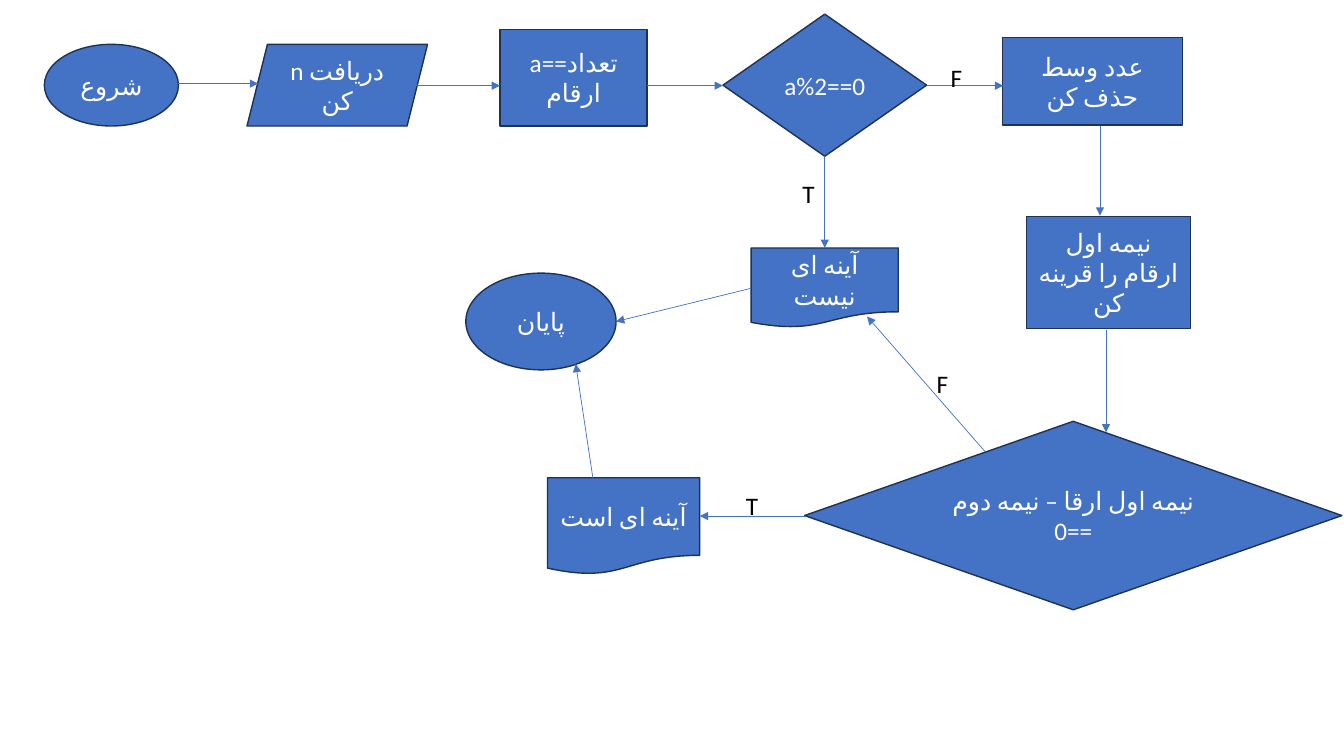
from lxml import etree
from pptx import Presentation
from pptx.dml.color import RGBColor
from pptx.enum.lang import MSO_LANGUAGE_ID
from pptx.enum.shapes import MSO_CONNECTOR, MSO_SHAPE
from pptx.enum.text import MSO_ANCHOR, MSO_AUTO_SIZE, PP_ALIGN
from pptx.oxml.ns import qn
from pptx.util import Emu, Pt

EMU_PER_PX = 9144
SLIDE_WIDTH, SLIDE_HEIGHT = 1333, 750
BLANK_LAYOUT = 6

BLUE = RGBColor(0x44, 0x72, 0xC4)
NAVY = RGBColor(0x1E, 0x32, 0x56)
WHITE = RGBColor(0xFF, 0xFF, 0xFF)
BLACK = RGBColor(0x00, 0x00, 0x00)

TERMINAL = MSO_SHAPE.OVAL
INPUT = MSO_SHAPE.PARALLELOGRAM
PROCESS = MSO_SHAPE.RECTANGLE
DECISION = MSO_SHAPE.DIAMOND
OUTPUT = MSO_SHAPE.FLOWCHART_DOCUMENT
STRAIGHT = MSO_CONNECTOR.STRAIGHT
CENTER, LEFT = PP_ALIGN.CENTER, PP_ALIGN.LEFT
MIDDLE, TOP = MSO_ANCHOR.MIDDLE, MSO_ANCHOR.TOP
GROW = MSO_AUTO_SIZE.SHAPE_TO_FIT_TEXT
PERSIAN = MSO_LANGUAGE_ID.FARSI
ENGLISH = MSO_LANGUAGE_ID.ENGLISH_US

STEPS = [
    (TERMINAL, (44, 44, 133, 81), "شروع"),
    (INPUT, (245, 44, 179, 81), "n دریافت کن"),
    (PROCESS, (496, 29, 146, 96), "a==تعداد ارقام"),
    (DECISION, (717, 14, 202, 141), "a%2==0"),
    (PROCESS, (994, 37, 179, 87), "عدد وسط حذف کن"),
    (PROCESS, (1018, 215, 163, 111), "نیمه اول ارقام را قرینه کن"),
    (DECISION, (798, 418, 533, 187), "نیمه اول ارقا – نیمه دوم ==0"),
    (OUTPUT, (745, 246, 146, 79), "آینه ای نیست"),
    (OUTPUT, (543, 474, 151, 96), "آینه ای است"),
    (TERMINAL, (462, 271, 149, 96), "پایان"),
]

ARROWS = [
    ((177, 83), (256, 83)),
    ((413, 85), (496, 85)),
    ((642, 85), (717, 85)),
    ((919, 85), (995, 85)),
    ((818, 155), (818, 246)),
    ((1091, 125), (1091, 214)),
    ((1097, 327), (1097, 429)),
    ((798, 512), (694, 512)),
    ((977, 448), (860, 314)),
    ((588, 474), (571, 361)),
    ((745, 286), (611, 319)),
]

BRANCH_LABELS = [
    ("T", (786, 172)),
    ("F", (933, 57)),
    ("T", (730, 482)),
    ("F", (919, 361)),
]


def px(*lengths):
    return [Emu(length * EMU_PER_PX) for length in lengths]


def write_text(frame, text, *, color, align=LEFT, anchor=TOP, wrap=True,
               size=18, font="Calibri", language=ENGLISH):
    frame.word_wrap = wrap
    frame.vertical_anchor = anchor
    para = frame.paragraphs[0]
    para.alignment = align
    span = para.add_run()
    span.text = text
    span.font.name = font
    span.font.size = Pt(size)
    span.font.color.rgb = color
    span.font.language_id = language
    etree.SubElement(span.font._element, qn("a:cs"), typeface=font)


def add_step(page, kind, bounds, text):
    step = page.shapes.add_shape(kind, *px(*bounds))
    step.shadow.inherit = False
    step.fill.solid()
    step.fill.fore_color.rgb = BLUE
    step.line.color.rgb = NAVY
    step.line.width = Pt(1)
    write_text(step.text_frame, text, color=WHITE, align=CENTER, anchor=MIDDLE,
               language=PERSIAN)


def add_arrow(page, start, end):
    arrow = page.shapes.add_connector(STRAIGHT, *px(*start, *end))
    arrow.line.color.rgb = BLUE
    arrow.line.width = Pt(0.5)
    etree.SubElement(arrow.line._get_or_add_ln(), qn("a:tailEnd"), type="triangle")
    etree.SubElement(arrow._element.spPr, qn("a:effectLst"))


def add_branch_label(page, text, corner):
    box = page.shapes.add_textbox(*px(*corner, 32, 40))
    write_text(box.text_frame, text, color=BLACK, wrap=False)
    box.text_frame.auto_size = GROW


def main():
    deck = Presentation()
    deck.slide_width, deck.slide_height = px(SLIDE_WIDTH, SLIDE_HEIGHT)
    page = deck.slides.add_slide(deck.slide_layouts[BLANK_LAYOUT])
    for kind, bounds, text in STEPS:
        add_step(page, kind, bounds, text)
    for start, end in ARROWS:
        add_arrow(page, start, end)
    for text, corner in BRANCH_LABELS:
        add_branch_label(page, text, corner)
    deck.save("out.pptx")


if __name__ == "__main__":
    main()
